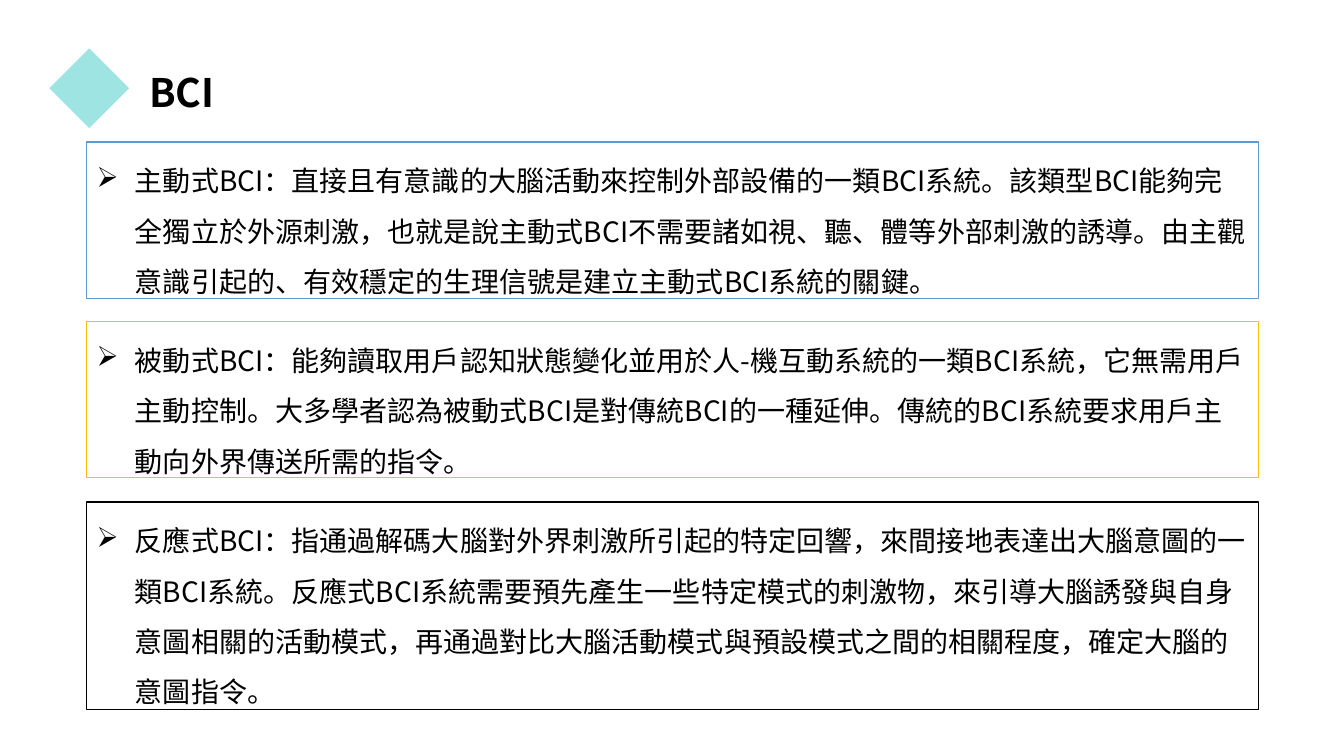
from lxml.etree import SubElement
from pptx import Presentation
from pptx.dml.color import RGBColor
from pptx.enum.shapes import MSO_SHAPE
from pptx.enum.text import MSO_ANCHOR, MSO_AUTO_SIZE, PP_ALIGN
from pptx.oxml.ns import qn
from pptx.util import Inches, Pt

FONT = "Noto Sans CJK SC"
COLORS = {
    "paper": "FFFFFF",
    "text": "000000",
    "diamond": "9EE4E2",
    "active": "5B9BD5",
    "passive": "FFC000",
    "reactive": "000000",
}
BCI_TYPES = [
    ("active", 1.41, 1.55,
     "主動式BCI：直接且有意識的大腦活動來控制外部設備的一類BCI系統。該類型BCI能夠完全獨立於外源刺激，"
     "也就是說主動式BCI不需要諸如視、聽、體等外部刺激的誘導。由主觀意識引起的、有效穩定的生理信號是建立"
     "主動式BCI系統的關鍵。"),
    ("passive", 3.19, 1.55,
     "被動式BCI：能夠讀取用戶認知狀態變化並用於人-機互動系統的一類BCI系統，它無需用戶主動控制。"
     "大多學者認為被動式BCI是對傳統BCI的一種延伸。傳統的BCI系統要求用戶主動向外界傳送所需的指令。"),
    ("reactive", 4.98, 2.06,
     "反應式BCI：指通過解碼大腦對外界刺激所引起的特定回響，來間接地表達出大腦意圖的一類BCI系統。"
     "反應式BCI系統需要預先產生一些特定模式的刺激物，來引導大腦誘發與自身意圖相關的活動模式，"
     "再通過對比大腦活動模式與預設模式之間的相關程度，確定大腦的意圖指令。"),
]


def color(name):
    return RGBColor.from_string(COLORS[name])


def write(shape, text, size, bold=False):
    """Fill the shape's first paragraph with one left-aligned run and return the paragraph."""
    frame = shape.text_frame
    frame.word_wrap = True
    frame.auto_size = MSO_AUTO_SIZE.SHAPE_TO_FIT_TEXT
    frame.vertical_anchor = MSO_ANCHOR.TOP
    paragraph = frame.paragraphs[0]
    paragraph.alignment = PP_ALIGN.LEFT
    run = paragraph.add_run()
    run.text = text
    run.font.name = FONT
    run.font.size = Pt(size)
    run.font.bold = bold
    run.font.color.rgb = color("text")
    SubElement(run.font._element, qn("a:ea"), typeface=FONT)
    return paragraph


presentation = Presentation()
presentation.slide_width = Inches(13.33)
presentation.slide_height = Inches(7.5)
slide = presentation.slides.add_slide(presentation.slide_layouts[5])

heading = slide.shapes.title
heading.left, heading.top = Inches(1.38), Inches(0.63)
heading.width, heading.height = Inches(2.07), Inches(0.57)
write(heading, "BCI", 28, bold=True)

diamond = slide.shapes.add_shape(
    MSO_SHAPE.DIAMOND, Inches(0.49), Inches(0.48), Inches(0.79), Inches(0.79))
diamond.shadow.inherit = False
diamond.fill.solid()
diamond.fill.fore_color.rgb = color("diamond")
diamond.line.fill.background()

for border, top, height, description in BCI_TYPES:
    panel = slide.shapes.add_shape(
        MSO_SHAPE.RECTANGLE, Inches(0.86), Inches(top), Inches(11.62), Inches(height))
    panel.shadow.inherit = False
    panel.fill.solid()
    panel.fill.fore_color.rgb = color("paper")
    panel.line.color.rgb = color(border)
    panel.line.width = Pt(1)
    paragraph = write(panel, description, 20)
    paragraph.line_spacing = 1.5
    properties = paragraph._p.get_or_add_pPr()
    properties.set("marL", str(Inches(0.38)))
    properties.set("indent", str(-Inches(0.38)))
    SubElement(properties, qn("a:buChar"), char="➢")

presentation.save("out.pptx")
